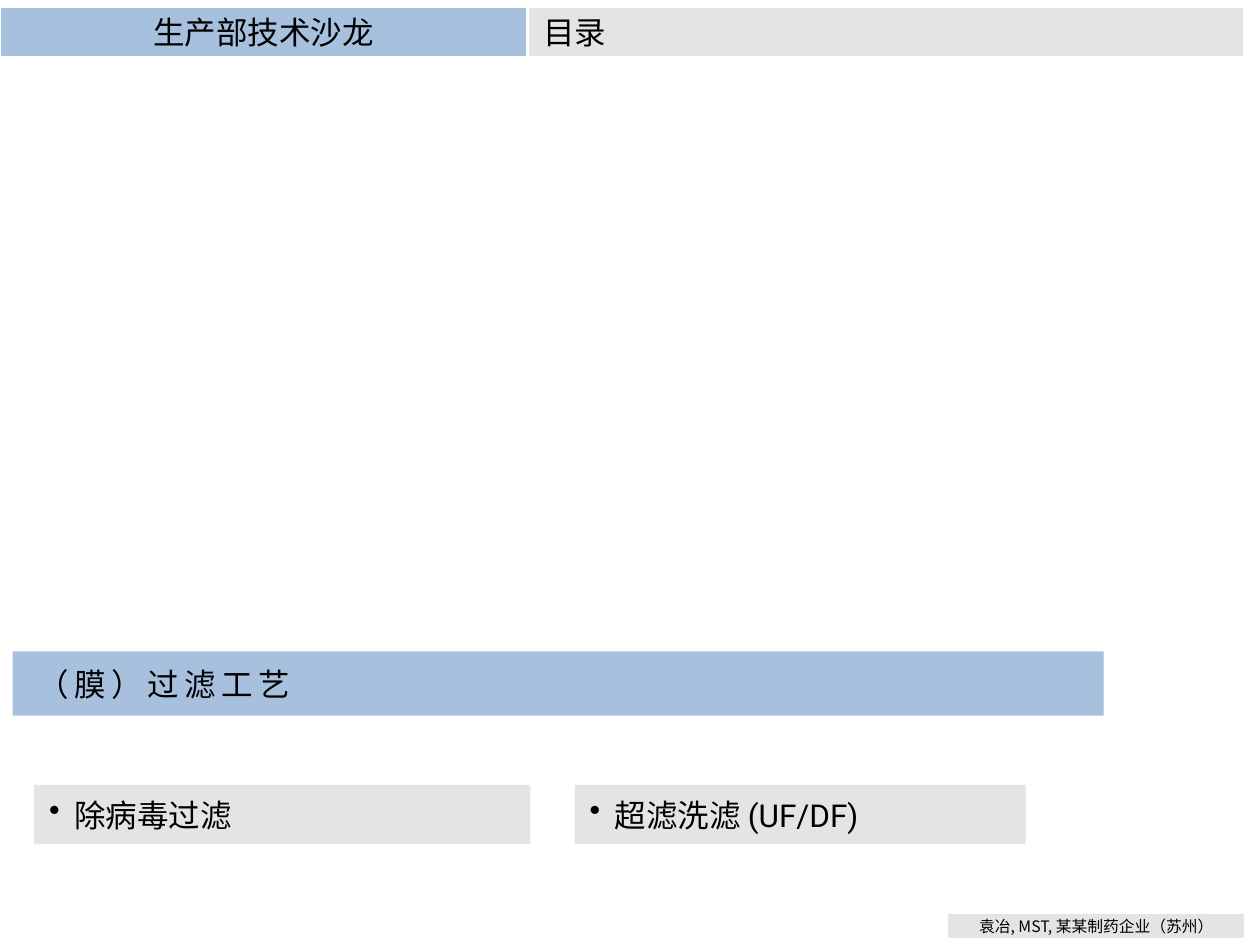
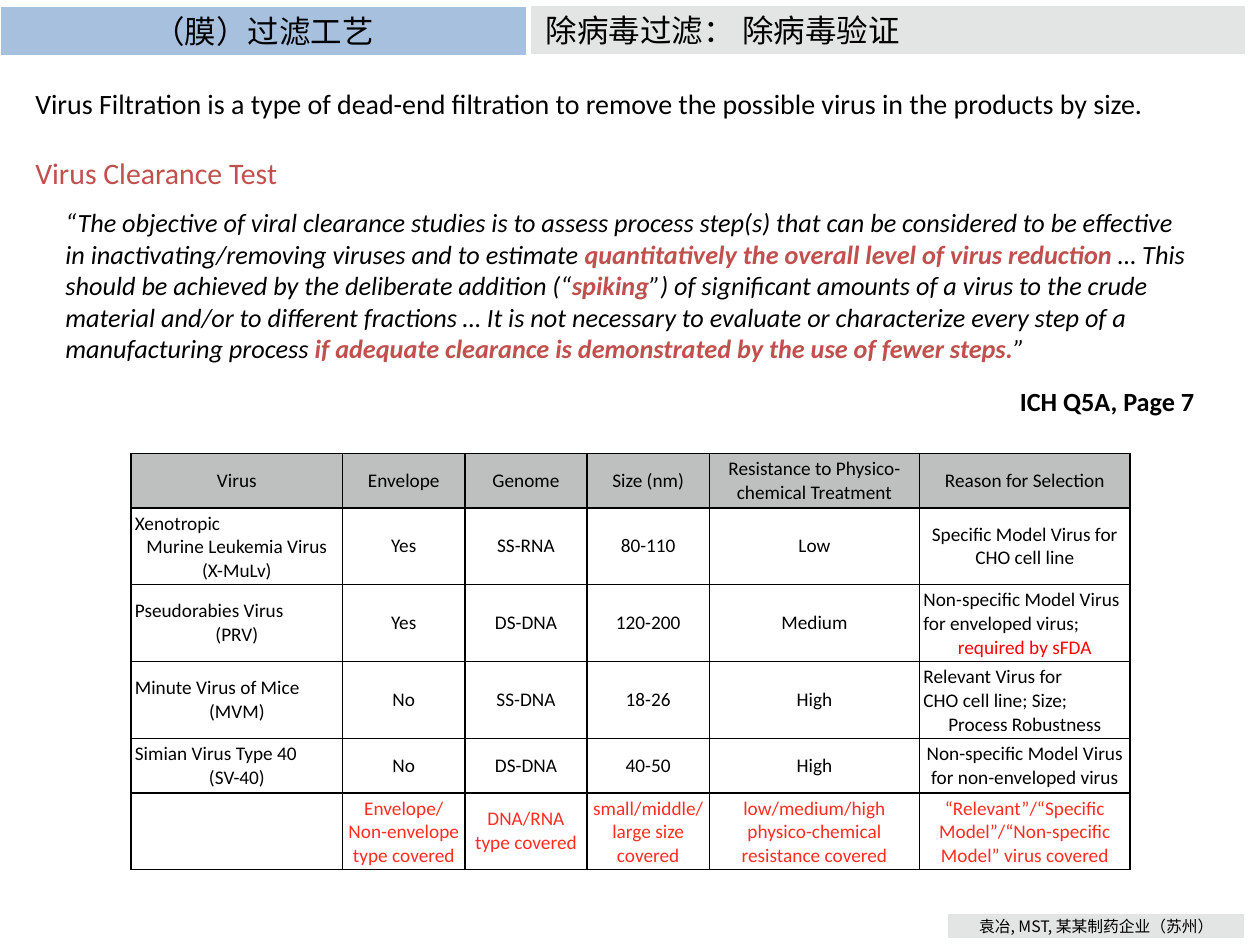
from dataclasses import dataclass

from lxml.etree import SubElement
from pptx import Presentation
from pptx.dml.color import RGBColor
from pptx.enum.shapes import MSO_SHAPE as Shape
from pptx.enum.text import MSO_ANCHOR as Anchor, MSO_AUTO_SIZE as AutoSize, PP_ALIGN as Align
from pptx.oxml.ns import qn
from pptx.util import Inches, Pt


@dataclass(frozen=True)
class Theme:
    blue: str = "A7C0DE"
    gray: str = "E3E4E4"
    table_head: str = "BDC0BF"
    black: str = "000000"
    white: str = "FFFFFF"
    accent: str = "C0504D"
    alert: str = "FF0000"
    summary: str = "FF2C21"
    chinese: str = "Noto Sans CJK SC"
    latin: str = "Calibri"
    heading: str = "Roboto"
    title_size: float = 18
    subtitle_size: float = 17
    intro_size: float = 16
    quote_size: float = 15
    table_size: float = 11
    footer_size: float = 9


THEME = Theme()
FOOTER = "袁冶, MST, 某某制药企业（苏州）"

COLUMN_WIDTHS = [1.68, 0.97, 0.97, 0.97, 1.67, 1.67]
ROW_HEIGHTS = [0.43, 0.43, 0.61, 0.61, 0.43, 0.61]
VIRUS_ROWS = [
    ["Virus", "Envelope", "Genome", "Size (nm)",
     "Resistance to Physico-chemical Treatment", "Reason for Selection"],
    ["Xenotropic\nMurine Leukemia Virus (X-MuLv)", "Yes", "SS-RNA", "80-110", "Low",
     "Specific Model Virus for CHO cell line"],
    ["Pseudorabies Virus\n(PRV)", "Yes", "DS-DNA", "120-200", "Medium",
     "Non-specific Model Virus for enveloped virus;\nrequired by sFDA"],
    ["Minute Virus of Mice\n(MVM)", "No", "SS-DNA", "18-26", "High",
     "Relevant Virus for\nCHO cell line; Size;\nProcess Robustness"],
    ["Simian Virus Type 40\n(SV-40)", "No", "DS-DNA", "40-50", "High",
     "Non-specific Model Virus for non-enveloped virus"],
    ["", "Envelope/ Non-envelope type covered", "DNA/RNA type covered",
     "small/middle/large size covered", "low/medium/high physico-chemical resistance covered",
     "“Relevant”/“Specific Model”/“Non-specific Model” virus covered"],
]
QUOTE = [
    ("“The objective of viral clearance studies is to assess process step(s) that can be "
     "considered to be effective in inactivating/removing viruses and to estimate ", False),
    ("quantitatively the overall level of virus reduction", True),
    (" … This should be achieved by the deliberate addition (“", False),
    ("spiking", True),
    ("”) of significant amounts of a virus to the crude material and/or to different "
     "fractions … It is not necessary to evaluate or characterize every step of a "
     "manufacturing process ", False),
    ("if adequate clearance is demonstrated by the use of fewer steps.", True),
    ("”", False),
]


def apply_format(target, values):
    for name, value in values.items():
        setattr(target, name, value)


def set_fill(fill, color):
    fill.solid()
    fill.fore_color.rgb = RGBColor.from_string(color)


def set_margins(target, across, down):
    apply_format(target, {
        "margin_left": Inches(across), "margin_right": Inches(across),
        "margin_top": Inches(down), "margin_bottom": Inches(down),
    })


def add_span(para, text, size, font=THEME.latin, color=THEME.black, **styles):
    span = para.add_run()
    span.text = text
    apply_format(span.font, {"size": Pt(size), "name": font, **styles})
    span.font.color.rgb = RGBColor.from_string(color)
    SubElement(span.font._element, qn("a:ea"), typeface=font)
    return span


def add_bullet(para, indent=0.2):
    properties = para._p.get_or_add_pPr()
    properties.set("marL", str(Inches(indent)))
    properties.set("indent", str(-Inches(indent)))
    SubElement(properties, qn("a:buChar"), char="•")


def add_band(page, place, color, spans, size=THEME.title_size, inset=0.12,
             align=Align.LEFT, outlined=False, bullet=False, spacing=0):
    band = page.shapes.add_shape(Shape.RECTANGLE, *map(Inches, place))
    band.shadow.inherit = False
    set_fill(band.fill, color)
    if outlined:
        set_fill(band.line.fill, THEME.white)
        band.line.width = Pt(0.75)
    else:
        band.line.fill.background()
    frame = band.text_frame
    apply_format(frame, {"word_wrap": True, "vertical_anchor": Anchor.MIDDLE})
    set_margins(frame, inset, 0)
    para = frame.paragraphs[0]
    para.alignment = align
    if bullet:
        add_bullet(para)
    for text, font in spans:
        span = add_span(para, text, size, font)
        if spacing:
            span.font._element.set("spc", str(spacing * 100))


def add_header(page, section, topic, font, topic_left, section_top, topic_top):
    add_band(page, (0, section_top, 4.18, 0.39), THEME.blue, [(section, font)],
             align=Align.CENTER, outlined=True)
    add_band(page, (topic_left, topic_top, 5.68, 0.39), THEME.gray, [(topic, font)],
             outlined=True)


def add_footer(page):
    add_band(page, (7.52, 7.25, 2.36, 0.2), THEME.gray, [(FOOTER, THEME.chinese)],
             size=THEME.footer_size, inset=0, align=Align.CENTER, outlined=True)


def add_text(page, place):
    frame = page.shapes.add_textbox(*map(Inches, place)).text_frame
    apply_format(frame, {"word_wrap": True, "auto_size": AutoSize.SHAPE_TO_FIT_TEXT})
    set_margins(frame, 0.05, 0.05)
    frame.paragraphs[0].space_before = Pt(12)
    return frame


def add_borders(cell):
    properties = cell._tc.get_or_add_tcPr()
    for side in ("lnL", "lnR", "lnT", "lnB"):
        line = SubElement(properties, qn(f"a:{side}"), w=str(Pt(1)))
        fill = SubElement(line, qn("a:solidFill"))
        SubElement(fill, qn("a:srgbClr"), val=THEME.black)


def fill_cell(cell, text, color):
    set_margins(cell, 0.03, 0.03)
    cell.vertical_anchor = Anchor.MIDDLE
    *lead_lines, last_line = text.split("\n")
    frame = cell.text_frame
    para = frame.paragraphs[0]
    for line in lead_lines:
        para.alignment = Align.LEFT
        add_span(para, line, THEME.table_size, color=color)
        para = frame.add_paragraph()
    para.alignment = Align.CENTER
    if last_line:
        last_color = THEME.alert if last_line == "required by sFDA" else color
        add_span(para, last_line, THEME.table_size, color=last_color)


def add_virus_table(page):
    place = (1.04, 3.6, sum(COLUMN_WIDTHS), sum(ROW_HEIGHTS))
    table = page.shapes.add_table(len(ROW_HEIGHTS), len(COLUMN_WIDTHS),
                                  *map(Inches, place)).table
    apply_format(table, {"first_row": False, "horz_banding": False})
    for column, width in zip(table.columns, COLUMN_WIDTHS):
        column.width = Inches(width)
    last = len(VIRUS_ROWS) - 1
    for index, (row, height, texts) in enumerate(zip(table.rows, ROW_HEIGHTS, VIRUS_ROWS)):
        row.height = Inches(height)
        for cell, text in zip(row.cells, texts):
            fill_cell(cell, text, THEME.summary if index == last else THEME.black)
            add_borders(cell)
            set_fill(cell.fill, THEME.white if index else THEME.table_head)


def build_contents(page):
    add_band(page, (0.1, 5.17, 8.66, 0.51), THEME.blue, [("（膜）过滤工艺", THEME.chinese)],
             inset=0.2, spacing=3)
    add_footer(page)
    topics = [
        (0.27, 3.94, [("除病毒过滤", THEME.chinese)]),
        (4.56, 3.58, [("超滤洗滤 ", THEME.chinese), ("(UF/DF)", THEME.heading)]),
    ]
    for left, width, spans in topics:
        add_band(page, (left, 6.23, width, 0.47), THEME.gray, spans, bullet=True)
    add_header(page, "生产部技术沙龙", "目录", THEME.chinese, 4.19, 0.06, 0.06)


def build_validation(page):
    intro = add_text(page, (0.23, 0.64, 9.55, 0.37))
    add_span(intro.paragraphs[0], "Virus Filtration is a type of dead-end filtration to remove "
             "the possible virus in the products by size.", THEME.intro_size)
    subtitle = add_text(page, (0.23, 1.18, 9.55, 0.39))
    add_span(subtitle.paragraphs[0], "Virus Clearance Test", THEME.subtitle_size,
             color=THEME.accent)
    quote = add_text(page, (0.47, 1.59, 9.06, 1.77))
    for text, stressed in QUOTE:
        add_span(quote.paragraphs[0], text, THEME.quote_size, italic=True, bold=stressed,
                 color=THEME.accent if stressed else THEME.black)
    citation = quote.add_paragraph()
    apply_format(citation, {"alignment": Align.RIGHT, "space_before": Pt(12)})
    add_span(citation, "ICH Q5A, Page 7", THEME.quote_size, bold=True)
    add_virus_table(page)
    add_header(page, "（膜）过滤工艺", "除病毒过滤： 除病毒验证", THEME.heading, 4.21, 0.05, 0.04)
    add_footer(page)


def main():
    deck = Presentation()
    apply_format(deck, {"slide_width": Inches(10), "slide_height": Inches(7.5)})
    for build in (build_contents, build_validation):
        build(deck.slides.add_slide(deck.slide_layouts[6]))
    deck.save("out.pptx")


if __name__ == "__main__":
    main()
